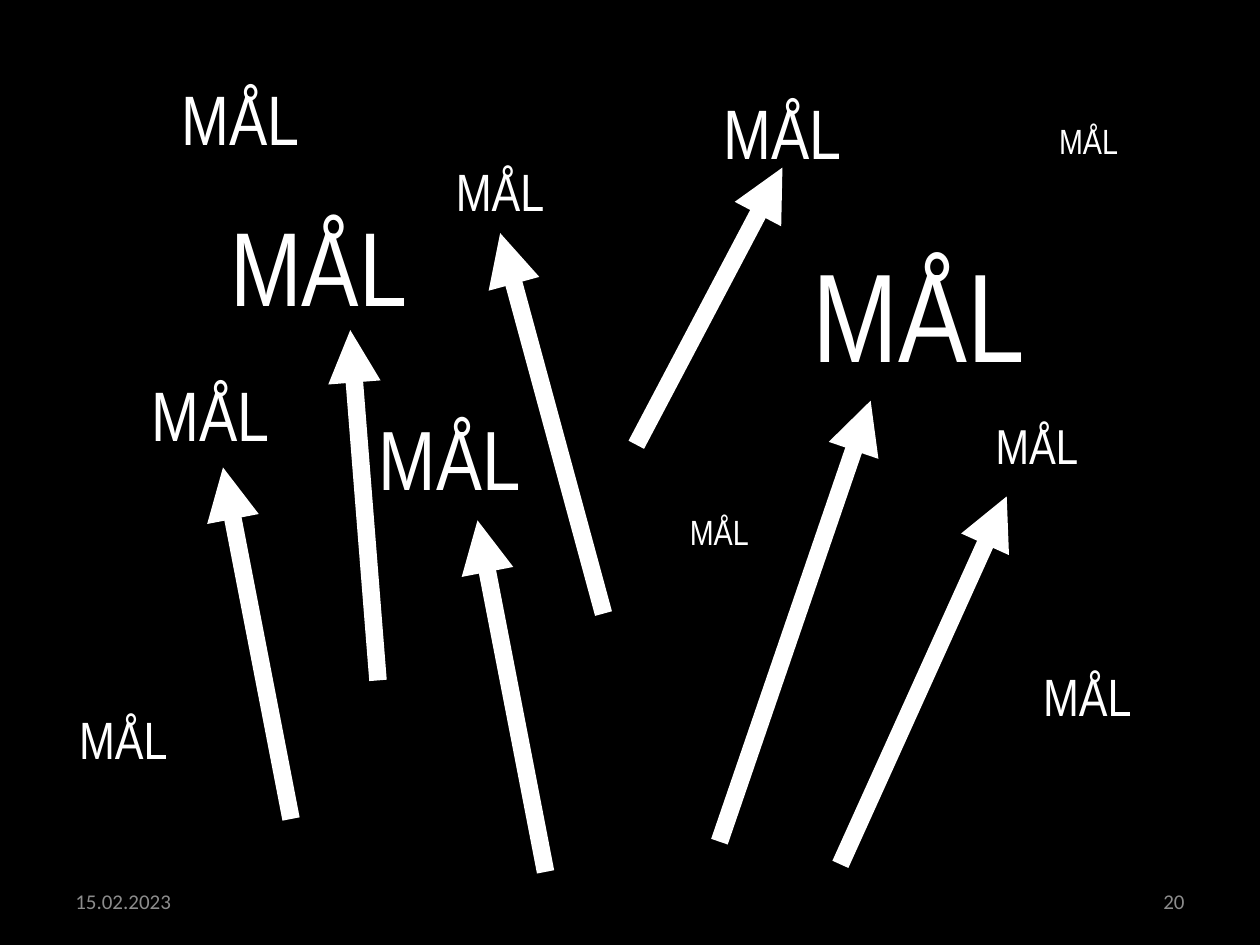
from typing import NamedTuple

from lxml import etree
from pptx import Presentation
from pptx.dml.color import RGBColor
from pptx.enum import shapes, text
from pptx.oxml.ns import qn
from pptx.slide import Slide
from pptx.util import Inches, Pt

COLORS = {"background": "000000", "goal": "FFFFFF", "footer": "8C8C8C"}
GOAL_WIDTH, GOAL_HEIGHT = 10, 0.68
FOOTER_TOP, FOOTER_WIDTH, FOOTER_HEIGHT = 6.95, 2.33, 0.4


class Goal(NamedTuple):
    center: float
    top: float
    size: int


class Arrow(NamedTuple):
    start: tuple[float, float]
    end: tuple[float, float]


class Footer(NamedTuple):
    content: str
    left: float
    alignment: text.PP_ALIGN


GOALS = [
    Goal(1.67, 2.9, 40),
    Goal(8.64, 0.9, 20),
    Goal(3.57, 3.18, 48),
    Goal(8.23, 3.25, 28),
    Goal(7.29, 1.83, 72),
    Goal(2.53, 1.55, 60),
    Goal(1.91, 0.55, 40),
    Goal(6.21, 0.66, 40),
    Goal(3.97, 1.21, 30),
    Goal(5.71, 4, 20),
    Goal(8.63, 5.22, 30),
    Goal(0.98, 5.56, 30),
]

ARROWS = [
    Arrow((2.31, 6.5), (1.77, 3.71)),
    Arrow((4.79, 4.87), (3.97, 1.85)),
    Arrow((3, 5.4), (2.78, 2.62)),
    Arrow((4.33, 6.92), (3.79, 4.13)),
    Arrow((6.67, 6.86), (7.99, 3.94)),
    Arrow((5.05, 3.53), (6.21, 1.33)),
    Arrow((5.71, 6.68), (6.91, 3.18)),
]

FOOTERS = [
    Footer("15.02.2023", 0.5, text.PP_ALIGN.LEFT),
    Footer("20", 7.17, text.PP_ALIGN.RIGHT),
]


def color(name: str) -> RGBColor:
    return RGBColor.from_string(COLORS[name])


def add_text(slide: Slide, content: str, box: tuple[float, float, float, float],
             font_name: str, size: int, color_name: str,
             alignment: text.PP_ALIGN, anchor: text.MSO_ANCHOR) -> None:
    shape = slide.shapes.add_textbox(*(Inches(length) for length in box))
    text_frame = shape.text_frame
    text_frame.word_wrap = True
    text_frame.vertical_anchor = anchor
    text_frame.text = content
    paragraph = text_frame.paragraphs[0]
    paragraph.alignment = alignment
    font = paragraph.runs[0].font
    font.name = font_name
    font.size = Pt(size)
    font.color.rgb = color(color_name)


def add_goal(slide: Slide, goal: Goal) -> None:
    box = (goal.center - GOAL_WIDTH / 2, goal.top, GOAL_WIDTH, GOAL_HEIGHT)
    add_text(slide, "MÅL", box, "Arial Narrow", goal.size, "goal",
             text.PP_ALIGN.CENTER, text.MSO_ANCHOR.TOP)


def add_footer(slide: Slide, footer: Footer) -> None:
    box = (footer.left, FOOTER_TOP, FOOTER_WIDTH, FOOTER_HEIGHT)
    add_text(slide, footer.content, box, "Calibri", 12, "footer",
             footer.alignment, text.MSO_ANCHOR.MIDDLE)


def add_arrow(slide: Slide, arrow: Arrow) -> None:
    points = (Inches(length) for length in arrow.start + arrow.end)
    connector = slide.shapes.add_connector(shapes.MSO_CONNECTOR.STRAIGHT, *points)
    connector.line.color.rgb = color("goal")
    connector.line.width = Pt(10)
    line = connector.line._get_or_add_ln()
    etree.SubElement(line, qn("a:tailEnd"), type="triangle")
    etree.SubElement(connector._element.spPr, qn("a:effectLst"))


def main() -> None:
    presentation = Presentation()
    presentation.slide_width = Inches(10)
    presentation.slide_height = Inches(7.5)
    slide = presentation.slides.add_slide(presentation.slide_layouts[6])
    slide.background.fill.solid()
    slide.background.fill.fore_color.rgb = color("background")
    for footer in FOOTERS:
        add_footer(slide, footer)
    for goal in GOALS:
        add_goal(slide, goal)
    for arrow in ARROWS:
        add_arrow(slide, arrow)
    presentation.save("out.pptx")


if __name__ == "__main__":
    main()
